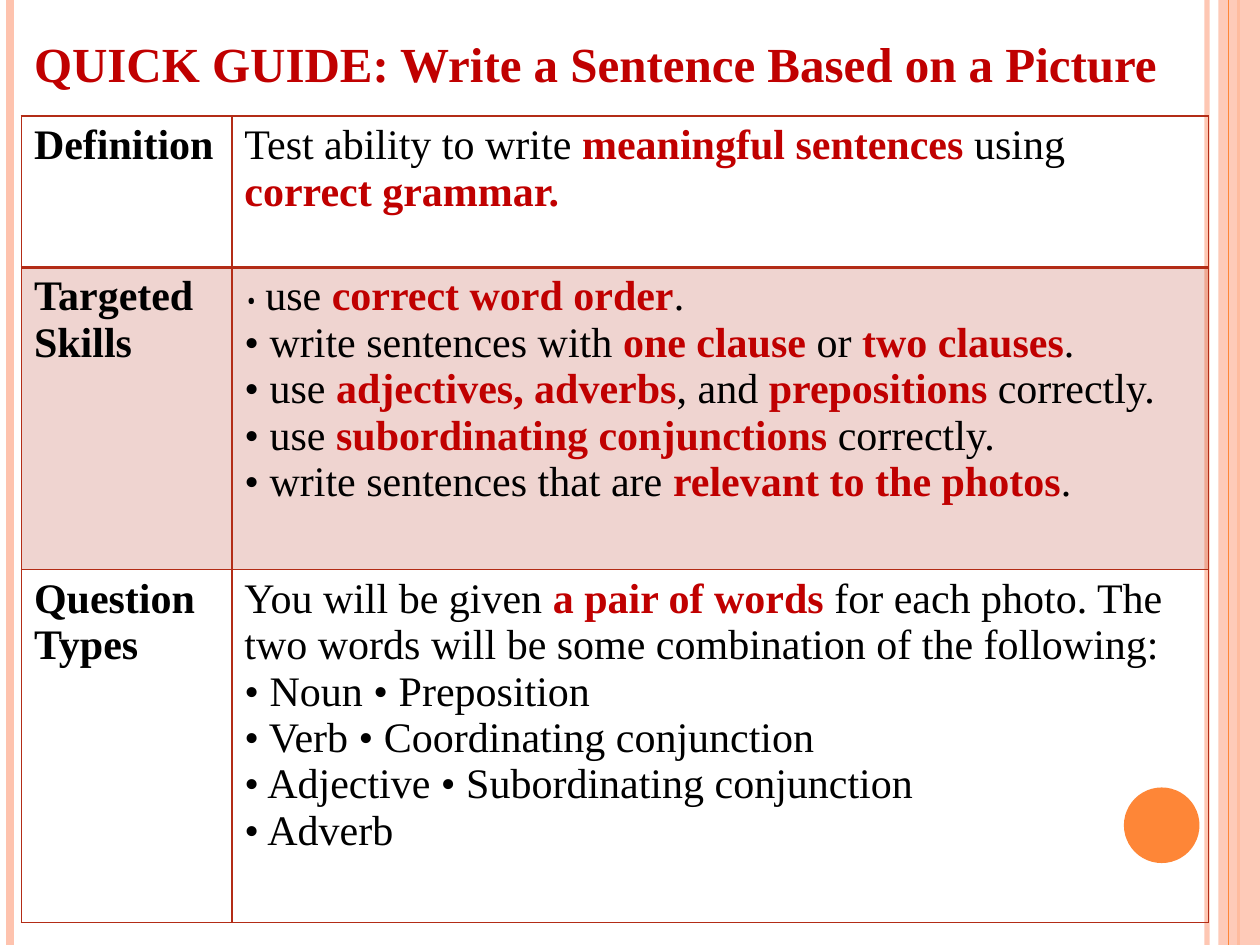
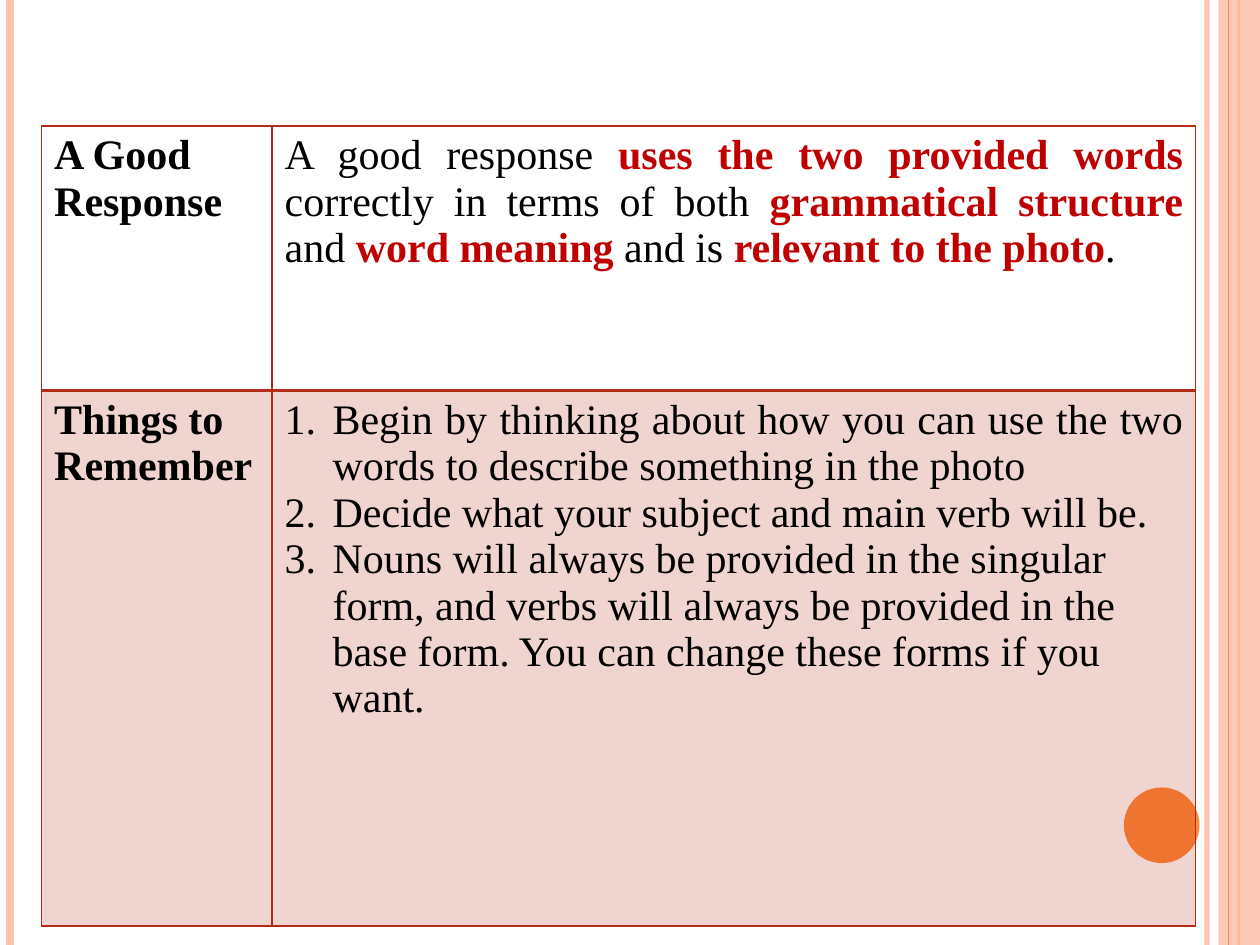
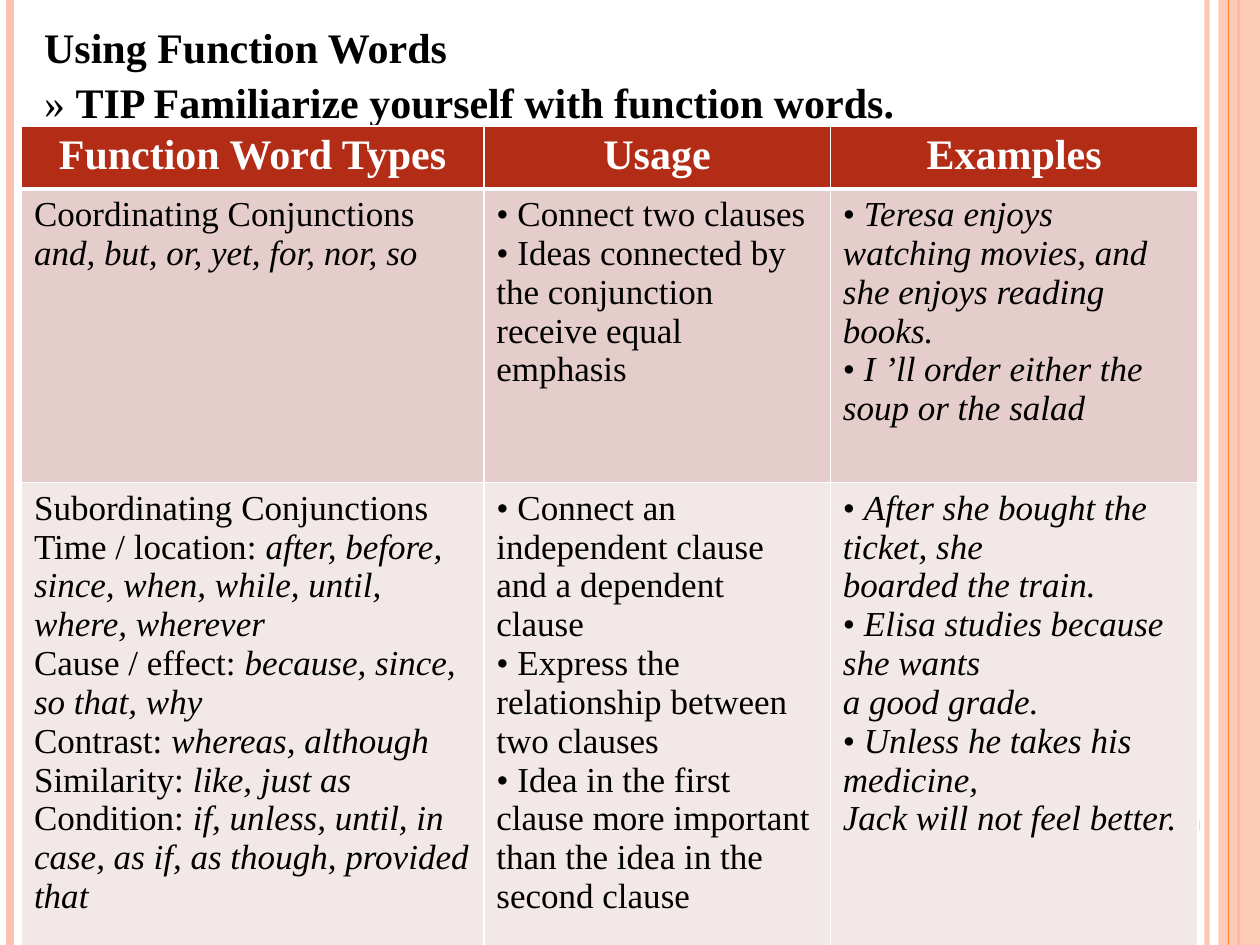
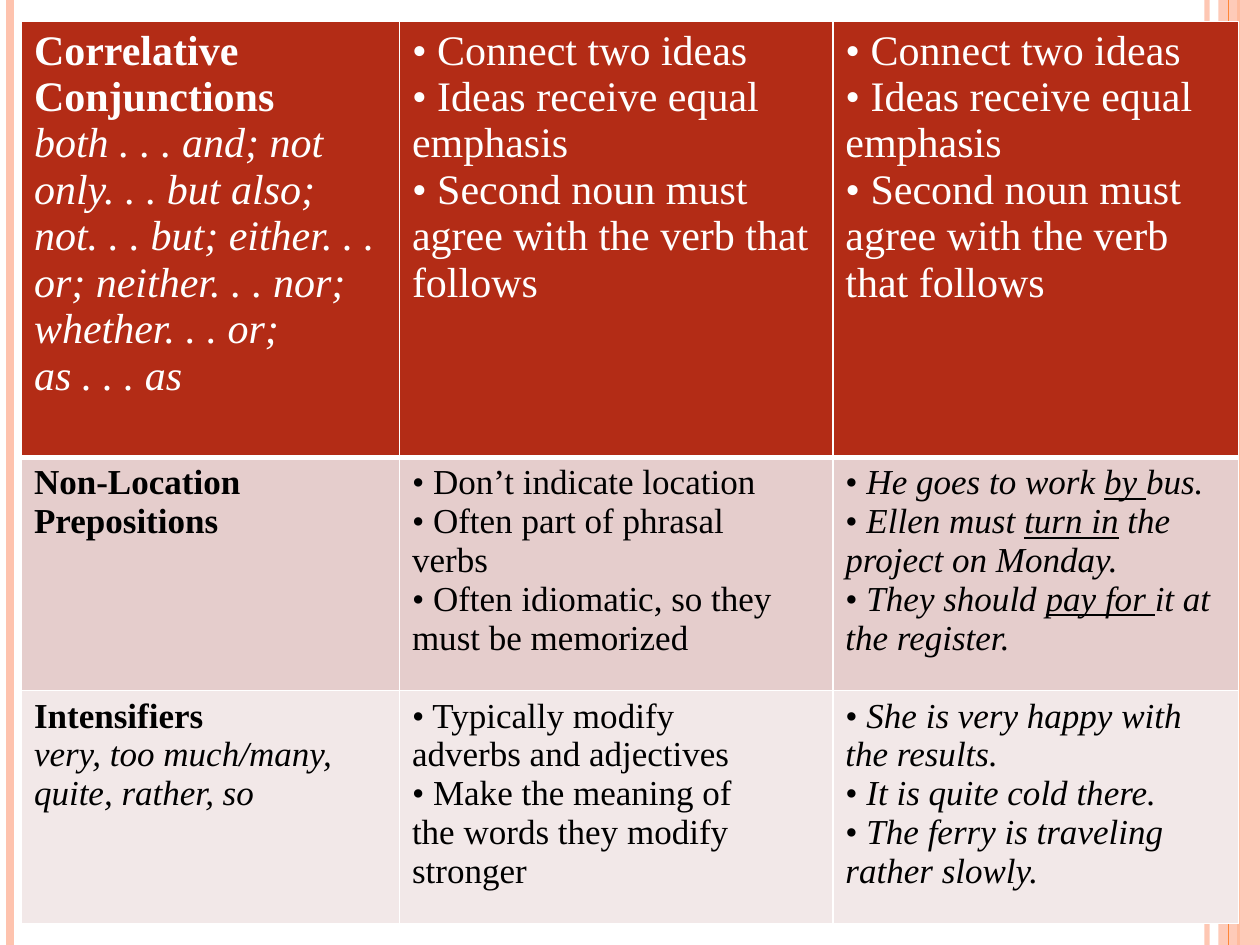
"""Build a four-slide quick guide to writing a sentence based on a picture."""
from itertools import groupby

from lxml import etree
from pptx import Presentation
from pptx.dml.color import RGBColor
from pptx.enum.shapes import MSO_CONNECTOR, MSO_SHAPE
from pptx.enum.text import MSO_ANCHOR, MSO_AUTO_SIZE, PP_ALIGN
from pptx.oxml.ns import qn
from pptx.util import Inches, Pt

STRAIGHT = MSO_CONNECTOR.STRAIGHT
RECTANGLE, OVAL = MSO_SHAPE.RECTANGLE, MSO_SHAPE.OVAL
TOP, NO_AUTOFIT = MSO_ANCHOR.TOP, MSO_AUTO_SIZE.NONE
LEFT, CENTER, JUSTIFY = PP_ALIGN.LEFT, PP_ALIGN.CENTER, PP_ALIGN.JUSTIFY

COLORS = {
    "peach": "FEC3AE", "orange": "FE8637", "brick": "B32C16", "red": "C00000",
    "rose": "E5CDCC", "blush": "F2E8E8", "black": "000000", "white": "FFFFFF",
}
BASE = {"name": "Times New Roman", "size": Pt(24), "bold": False,
        "italic": False, "underline": False, "color": "black"}
MARKS = {
    "*": {"bold": True, "color": "red"},
    "#": {"bold": True},
    "_": {"italic": True},
    "~": {"underline": True},
    "^": {"name": "Cambria", "size": Pt(18)},
}
GUIDE_STYLE = {"fills": [None, "brick", None], "opacity": 20, "border": "brick",
               "heavy": 2, "sizes": [24, 24, 24], "text": ["black"] * 3, "header": False}
WORDS_STYLE = {"fills": ["brick", "rose", "blush"], "opacity": 100, "border": "white",
               "heavy": 3, "sizes": [24, 20, 20], "text": ["white", "black", "black"],
               "header": True}

DECK = [
    {
        "title": "*QUICK GUIDE: Write a Sentence Based on a Picture*",
        "title_size": 28, "title_box": (0.17, 0.17, 9.83, 0.98),
        "style": GUIDE_STYLE, "origin": (0.17, 0.92),
        "columns": [1.67, 7.75], "heights": [1.2, 2.4, 2.8],
        "rows": [
            ["#Definition#",
             "Test ability to write *meaningful sentences* using *correct grammar.*"],
            ["#Targeted Skills#",
             "^• ^use *correct word order*.\n"
             "• write sentences with *one clause* or *two clauses*.\n"
             "• use *adjectives, adverbs*, and *prepositions* correctly.\n"
             "• use *subordinating conjunctions* correctly.\n"
             "• write sentences that are *relevant to the photos*."],
            ["#Question Types#",
             "You will be given *a pair of words* for each photo. The two words "
             "will be some combination of the following:\n"
             "• Noun • Preposition\n"
             "• Verb • Coordinating conjunction\n"
             "• Adjective • Subordinating conjunction\n"
             "• Adverb"],
        ],
    },
    {
        "style": GUIDE_STYLE, "origin": (0.33, 1),
        "columns": [1.83, 7.33], "heights": [2.1, 4.25],
        "justified": [(0, 1, 0), (1, 1, 0), (1, 1, 1)], "numbered": (1, 1),
        "rows": [
            ["#A Good Response#",
             "A good response *uses the two provided words* correctly in terms of "
             "both *grammatical structure* and *word meaning* and is "
             "*relevant to the photo*."],
            ["#Things to Remember#",
             "Begin by thinking about how you can use the two words to describe "
             "something in the photo\n"
             "Decide what your subject and main verb will be.\n"
             "Nouns will always be provided in the singular form, and verbs will "
             "always be provided in the base form. You can change these forms if "
             "you want."],
        ],
    },
    {
        "title": "#Using Function Words#\n» #TIP Familiarize yourself with function words.#",
        "title_size": 24, "title_box": (0.25, 0.08, 9.33, 1.21),
        "style": WORDS_STYLE, "origin": (0.17, 1), "header_align": CENTER,
        "columns": [3.67, 2.75, 2.92], "heights": [0.5, 2.33, 3.77],
        "rows": [
            ["#Function Word Types#", "#Usage#", "#Examples#"],
            ["Coordinating Conjunctions\n_and, but, or, yet, for, nor, so_",
             "• Connect two clauses\n"
             "• Ideas connected by the conjunction receive equal emphasis",
             "• _Teresa enjoys watching movies, and she enjoys reading books._\n"
             "• _I ’ll order either the soup or the salad_"],
            ["Subordinating Conjunctions\n"
             "Time / location: _after, before, since, when, while, until, where, wherever_\n"
             "Cause / effect: _because, since, so that, why_\n"
             "Contrast: _whereas, although_\n"
             "Similarity: _like, just as_\n"
             "Condition: _if, unless, until, in case, as if, as though, provided that_",
             "• Connect an independent clause and a dependent clause\n"
             "• Express the relationship between two clauses\n"
             "• Idea in the first clause more important than the idea in the second clause",
             "• _After she bought the ticket, she\vboarded the train._\n"
             "• _Elisa studies because she wants\va good grade._\n"
             "• _Unless he takes his medicine,\vJack will not feel better._"],
        ],
    },
    {
        "style": WORDS_STYLE, "origin": (0.17, 0.17),
        "columns": [3, 3.44, 3.22], "heights": [3.46, 1.85, 1.85],
        "rows": [
            ["#Correlative Conjunctions#\n"
             "_both . . . and; not only. . . but also; not. . . but; either. . . or; "
             "neither. . . nor; whether. . . or; as . . . as_"]
            + ["• Connect two ideas\n• Ideas receive equal\vemphasis\n"
               "• Second noun must agree with the verb that follows"] * 2,
            ["#Non-Location Prepositions#",
             "• Don’t indicate location\n• Often part of phrasal\vverbs\n"
             "• Often idiomatic, so they\vmust be memorized",
             "• _He goes to work ~by ~bus._\n"
             "• _Ellen must ~turn in~ the project on Monday._\n"
             "• _They should ~pay for ~it at the register._"],
            ["#Intensifiers#\n_very, too much/many, quite, rather, so_",
             "• Typically modify\vadverbs and adjectives\n"
             "• Make the meaning of\vthe words they modify\vstronger",
             "• _She is very happy with the results._\n"
             "• _It is quite cold there._\n"
             "• _The ferry is traveling rather slowly._"],
        ],
    },
]


def write(frame, text, size, color, align):
    """Fill a text frame, switching formats at each mark."""
    for number, line in enumerate(text.split("\n")):
        paragraph = frame.add_paragraph() if number else frame.paragraphs[0]
        paragraph.alignment = align
        active = set()
        for mark, letters in groupby(line, lambda ch: ch if ch in MARKS or ch == "\v" else ""):
            if mark == "\v":
                paragraph.add_line_break()
            elif mark:
                active ^= {mark}
            else:
                values = {**BASE, "size": Pt(size), "color": color}
                for name in active:
                    values.update(MARKS[name])
                run = paragraph.add_run()
                run.text = "".join(letters)
                run.font.color.rgb = RGBColor.from_string(COLORS[values.pop("color")])
                for key, value in values.items():
                    setattr(run.font, key, value)


def set_opacity(element, percent):
    """Make every solid colour inside an element partly transparent."""
    for color in element.iter(qn("a:srgbClr")):
        etree.SubElement(color, qn("a:alpha")).set("val", str(percent * 1000))


prs = Presentation()
prs.slide_width, prs.slide_height = Inches(10), Inches(7.5)
title_layout, blank_layout = prs.slide_layouts[5], prs.slide_layouts[6]
slides = [prs.slides.add_slide(title_layout if "title" in page else blank_layout)
          for page in DECK]

decor = []
drawing = slides[0].shapes
for x, color, width, opacity in [(9.58, "peach", 3, 93), (0.08, "peach", 4.5, 100),
                                 (9.83, "orange", 1.5, 100), (9.75, "orange", 0.75, 100)]:
    stripe = drawing.add_connector(STRAIGHT, Inches(x), 0, Inches(x), prs.slide_height)
    stripe.line.color.rgb = RGBColor.from_string(COLORS[color])
    stripe.line.width = Pt(width)
    set_opacity(stripe.element, opacity)
    etree.SubElement(stripe.element.spPr, qn("a:effectLst"))
    decor.append(stripe)
for kind, box, color, opacity in [(RECTANGLE, (9.67, 0, 0.33, 7.5), "peach", 87),
                                  (OVAL, (8.92, 6.25, 0.6, 0.6), "orange", 100)]:
    accent = drawing.add_shape(kind, *map(Inches, box))
    accent.shadow.inherit = False
    accent.fill.solid()
    accent.fill.fore_color.rgb = RGBColor.from_string(COLORS[color])
    accent.line.fill.background()
    set_opacity(accent.element, opacity)
    decor.append(accent)
decor.insert(3, decor.pop(4))
for number, part in enumerate(decor, 20):
    part.element.xpath(".//p:cNvPr")[0].set("id", str(number))
    prs.slide_master.shapes.element.append(part.element)

for slide, page in zip(slides, DECK):
    if "title" in page:
        title = slide.shapes.title
        for side, value in zip(("left", "top", "width", "height"), page["title_box"]):
            setattr(title, side, Inches(value))
        frame = title.text_frame
        for key, value in {"word_wrap": True, "vertical_anchor": TOP,
                           "auto_size": NO_AUTOFIT}.items():
            setattr(frame, key, value)
        write(frame, page["title"], page["title_size"], "black", LEFT)
        for paragraph in frame.paragraphs:
            paragraph.line_spacing = 1.1

    style, columns, heights = page["style"], page["columns"], page["heights"]
    size = sum(columns), sum(heights)
    table = slide.shapes.add_table(len(heights), len(columns),
                                   *map(Inches, page["origin"] + size)).table
    table.first_row, table.horz_banding = style["header"], False
    for column, width in zip(table.columns, columns):
        column.width = Inches(width)
    for r, texts in enumerate(page["rows"]):
        table.rows[r].height = Inches(heights[r])
        align = page.get("header_align", LEFT) if r == 0 else LEFT
        for c, text in enumerate(texts):
            cell = table.cell(r, c)
            write(cell.text_frame, text, style["sizes"][r], style["text"][r], align)
            properties = cell._tc.get_or_add_tcPr()
            for side in "LRTB":
                heavy = (r, side) in [(0, "B"), (1, "T")]
                edge = etree.SubElement(properties, qn("a:ln" + side))
                edge.set("w", str(Pt(style["heavy"] if heavy else 1)))
                paint = etree.SubElement(edge, qn("a:solidFill"))
                etree.SubElement(paint, qn("a:srgbClr")).set("val", COLORS[style["border"]])
            if style["fills"][r]:
                cell.fill.solid()
                cell.fill.fore_color.rgb = RGBColor.from_string(COLORS[style["fills"][r]])
                if style["opacity"] < 100:
                    set_opacity(properties.find(qn("a:solidFill")), style["opacity"])
            else:
                cell.fill.background()

    for r, c, p in page.get("justified", []):
        table.cell(r, c).text_frame.paragraphs[p].alignment = JUSTIFY
    if "numbered" in page:
        for step in table.cell(*page["numbered"]).text_frame.paragraphs:
            layout = step._p.get_or_add_pPr()
            layout.set("marL", str(Inches(0.38)))
            layout.set("indent", str(-Inches(0.38)))
            etree.SubElement(layout, qn("a:buFont")).set("typeface", "+mj-lt")
            etree.SubElement(layout, qn("a:buAutoNum")).set("type", "arabicPeriod")

prs.save("out.pptx")
